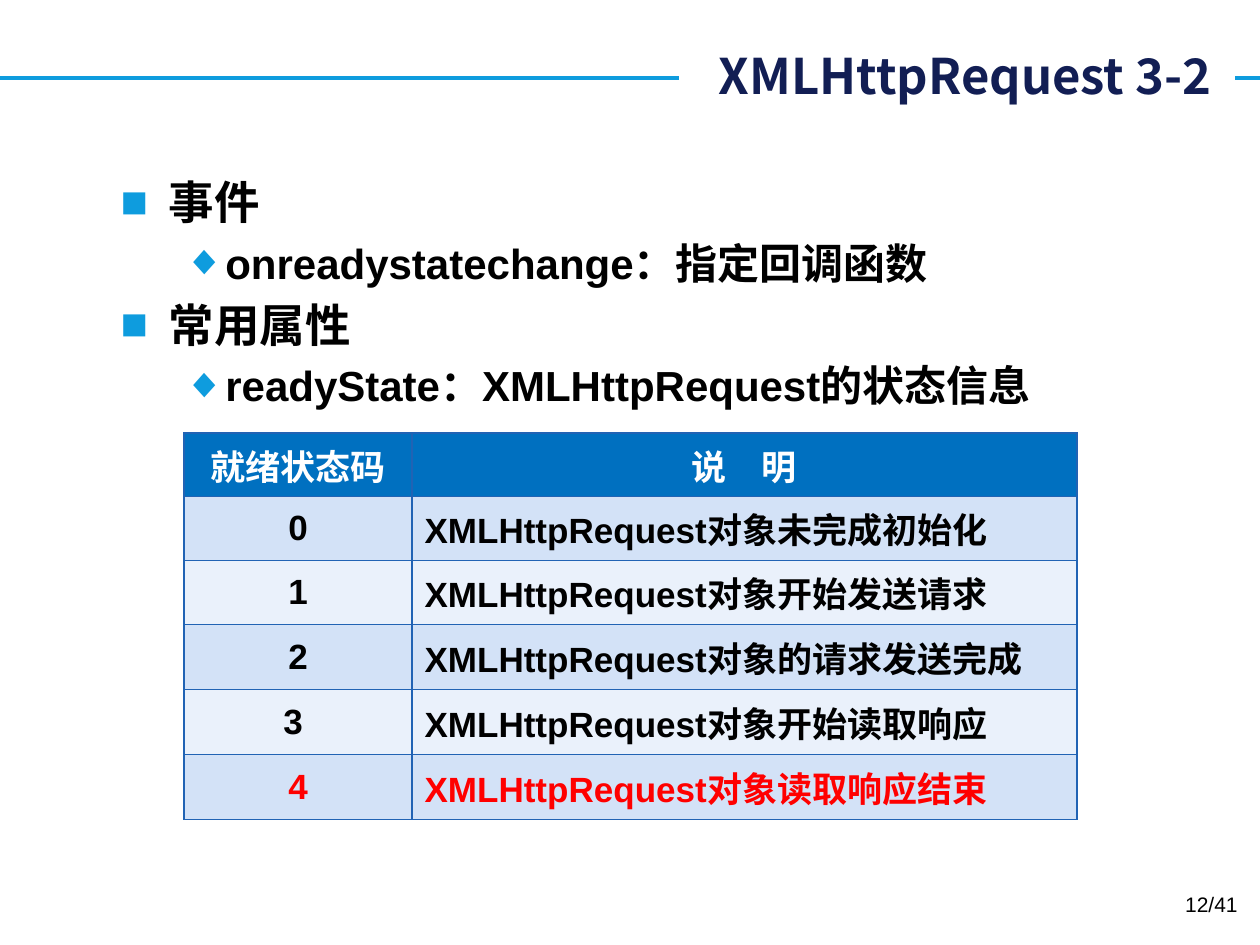
from dataclasses import dataclass

from lxml.etree import SubElement
from pptx import Presentation
from pptx.dml.color import RGBColor
from pptx.enum.shapes import MSO_CONNECTOR
from pptx.enum.text import MSO_ANCHOR as Anchor, MSO_AUTO_SIZE as AutoSize, PP_ALIGN as Align
from pptx.oxml.ns import qn
from pptx.util import Pt

PX = 914400 / 126  # EMU in one px

BLACK = RGBColor(0x00, 0x00, 0x00)
WHITE = RGBColor(0xFF, 0xFF, 0xFF)
RED = RGBColor(0xFF, 0x00, 0x00)
NAVY = RGBColor(0x12, 0x1E, 0x54)
SKY = RGBColor(0x0E, 0x9C, 0xDE)
HEADER_BLUE = RGBColor(0x00, 0x70, 0xC0)
BORDER_BLUE = RGBColor(0x21, 0x63, 0xB4)
ROW_FILLS = (RGBColor(0xD3, 0xE2, 0xF7), RGBColor(0xEA, 0xF1, 0xFB))

LATIN, CHINESE = "Arial", "Noto Sans CJK SC"


@dataclass(frozen=True)
class BulletStyle:
    character: str
    size: int
    margin: int
    indent: int


@dataclass(frozen=True)
class ListItem:
    level: int
    text: str


@dataclass(frozen=True)
class State:
    code: str
    meaning: str
    color: RGBColor = BLACK


BULLETS = (BulletStyle("■", 26, 48, -48), BulletStyle("◆", 24, 102, -39))
ITEMS = (
    ListItem(0, "事件"),
    ListItem(1, "onreadystatechange：指定回调函数"),
    ListItem(0, "常用属性"),
    ListItem(1, "readyState：XMLHttpRequest的状态信息"),
)
HEADERS = ("就绪状态码", "说\u3000明".replace("\u3000", "　"))
STATES = (
    State("0", "XMLHttpRequest对象未完成初始化"),
    State("1", "XMLHttpRequest对象开始发送请求"),
    State("2", "XMLHttpRequest对象的请求发送完成"),
    State("3 ", "XMLHttpRequest对象开始读取响应"),
    State("4", "XMLHttpRequest对象读取响应结束", RED),
)
COLUMN_WIDTHS = (228, 665)
ROW_HEIGHTS = (54, 64, 64, 65, 65, 65)


def px(length: int) -> int:
    return round(length * PX)


def place(shape, left: int, top: int, width: int, height: int) -> None:
    box = {"left": left, "top": top, "width": width, "height": height}
    for name, value in box.items():
        setattr(shape, name, px(value))


def write(paragraph, text: str, color: RGBColor, size: int,
          font: str = LATIN, bold: bool = True, align=Align.LEFT) -> None:
    paragraph.alignment = align
    run = paragraph.add_run()
    run.text = text
    for name, value in {"name": font, "size": Pt(size), "bold": bold}.items():
        setattr(run.font, name, value)
    run.font.color.rgb = color
    SubElement(run.font._element, qn("a:ea"), typeface=CHINESE)


def space_before(paragraph, percent: int = 20):
    properties = paragraph._p.get_or_add_pPr()
    spacing = SubElement(properties, qn("a:spcBef"))
    SubElement(spacing, qn("a:spcPct"), val=str(percent * 1000))
    return properties


def add_item(paragraph, item: ListItem) -> None:
    style = BULLETS[item.level]
    paragraph.level = item.level
    properties = space_before(paragraph)
    properties.set("marL", str(px(style.margin)))
    properties.set("indent", str(px(style.indent)))
    color = SubElement(properties, qn("a:buClr"))
    SubElement(color, qn("a:srgbClr"), val=str(SKY))
    SubElement(properties, qn("a:buFont"), typeface=LATIN)
    SubElement(properties, qn("a:buChar"), char=style.character)
    write(paragraph, item.text, BLACK, style.size)


def fill_cell(cell, text: str, fill: RGBColor, color: RGBColor,
              font: str, align, anchor) -> None:
    cell.vertical_anchor = anchor
    properties = cell._tc.get_or_add_tcPr()
    for side in ("lnL", "lnR", "lnT", "lnB"):
        border = SubElement(properties, qn(f"a:{side}"), w=str(Pt(1)))
        solid = SubElement(border, qn("a:solidFill"))
        SubElement(solid, qn("a:srgbClr"), val=str(BORDER_BLUE))
    cell.fill.solid()
    cell.fill.fore_color.rgb = fill
    paragraph = cell.text_frame.paragraphs[0]
    space_before(paragraph)
    write(paragraph, text, color, 20, font, align=align)


def add_state_table(slide) -> None:
    size = (sum(COLUMN_WIDTHS), sum(ROW_HEIGHTS))
    table = slide.shapes.add_table(
        len(ROW_HEIGHTS), len(COLUMN_WIDTHS), *map(px, (184, 433, *size))).table
    for column, width in zip(table.columns, COLUMN_WIDTHS):
        column.width = px(width)
    for row, height in zip(table.rows, ROW_HEIGHTS):
        row.height = px(height)
    for column, text in enumerate(HEADERS):
        fill_cell(table.cell(0, column), text, HEADER_BLUE, WHITE, CHINESE,
                  Align.CENTER, Anchor.TOP)
    for index, state in enumerate(STATES):
        texts = ((state.code, Align.CENTER), (state.meaning, Align.LEFT))
        for column, (text, align) in enumerate(texts):
            fill_cell(table.cell(index + 1, column), text, ROW_FILLS[index % 2],
                      state.color, LATIN, align, Anchor.MIDDLE)


def main() -> None:
    presentation = Presentation()
    presentation.slide_width, presentation.slide_height = px(1260), px(945)
    slide = presentation.slides.add_slide(presentation.slide_layouts[1])
    title, body = slide.placeholders

    # Title with a white ground that interrupts the rule behind it
    place(title, 679, 39, 556, 72)
    title.fill.solid()
    title.fill.fore_color.rgb = WHITE
    frame = title.text_frame
    frame.auto_size = AutoSize.NONE
    frame.vertical_anchor = Anchor.MIDDLE
    write(frame.paragraphs[0], "XMLHttpRequest 3-2 ", NAVY, 28, CHINESE, align=Align.RIGHT)

    rule = slide.shapes.add_connector(
        MSO_CONNECTOR.STRAIGHT, 0, px(78), px(1260), px(78))
    rule.line.color.rgb = SKY
    rule.line.width = Pt(2.25)
    SubElement(rule._element.spPr, qn("a:effectLst"))
    title._element.addprevious(rule._element)

    # Two-level list
    place(body, 108, 168, 1053, 752)
    frame = body.text_frame
    frame.auto_size = AutoSize.NONE
    for index, item in enumerate(ITEMS):
        add_item(frame.add_paragraph() if index else frame.paragraphs[0], item)

    add_state_table(slide)

    # Page number
    number = slide.shapes.add_textbox(*map(px, (956, 885, 294, 50)))
    number.text_frame.word_wrap = True
    write(number.text_frame.paragraphs[0], "12/41", BLACK, 12, bold=False, align=Align.RIGHT)

    presentation.save("out.pptx")


if __name__ == "__main__":
    main()
